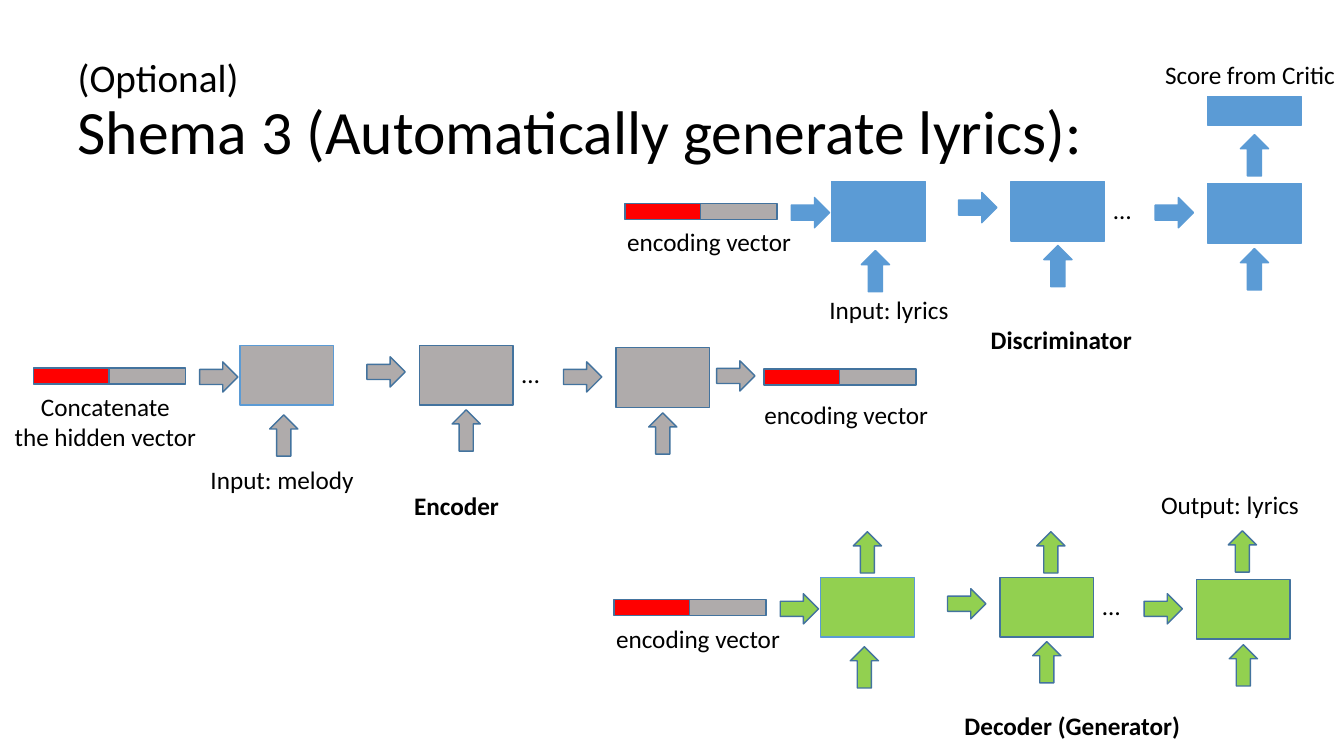
from dataclasses import dataclass

from pptx import Presentation
from pptx import util as u
from pptx.dml.color import RGBColor
from pptx.enum import shapes, text

CELL = u.Inches(0.1)
COLUMNS, ROWS = 133.33, 75


@dataclass(frozen=True)
class Theme:
    """Colours and type sizes of the slide."""
    font: str = "Calibri"
    ink: str = "000000"
    blue: str = "5B9BD5"
    outline: str = "43739E"
    red: str = "FF0000"
    grey: str = "AFABAB"
    green: str = "92D050"
    body: int = 18
    kicker: int = 28
    title: int = 44


THEME = Theme()
BLOCK = (9.3, 5.9)
ARROW_RIGHT = (3.8, 3)
ARROW_UP = (4.1, 2.8)
VECTOR_HALF = (7.6, 1.6)
BLOCKS = ((20.5, 0), (38.3, 0), (57.8, 0.2))
LINKS = ((16.5, 1.6), (33.1, 1.1), (52.6, 1.6))
INPUTS = ((22.8, 7.5), (40.9, 7), (60.4, 7.3))
OUTPUTS = ((23.1, -3.9), (41.3, -3.9), (60.3, -4))


def cells(*lengths):
    """Turn grid cells into slide lengths."""
    return [round(length * CELL) for length in lengths]


def write(para, words, size=THEME.body, bold=False):
    """Add one formatted span of text to a paragraph."""
    span = para.add_run()
    span.text = words
    span.font.name, span.font.size, span.font.bold = THEME.font, u.Pt(size), bold
    span.font.color.rgb = RGBColor.from_string(THEME.ink)


def add_label(page, words, left, top, width=38.4, centered=False, bold=False):
    """Place a text box with one paragraph per line of words."""
    lines = words.split("\n")
    box = page.shapes.add_textbox(*cells(left, top, width, 0.9 + 3.1 * len(lines)))
    frame = box.text_frame
    frame.word_wrap = True
    if not centered:
        frame.margin_right = 0
    for index, line in enumerate(lines):
        para = frame.add_paragraph() if index else frame.paragraphs[0]
        para.alignment = text.PP_ALIGN.CENTER if centered else text.PP_ALIGN.LEFT
        write(para, line, bold=bold)


def add_part(page, kind, left, top, size, fill, line=THEME.outline, rotation=0):
    """Place one filled and outlined shape."""
    part = page.shapes.add_shape(kind, *cells(left, top, *size))
    part.shadow.inherit = False
    part.rotation = rotation
    part.fill.solid()
    part.fill.fore_color.rgb = RGBColor.from_string(fill)
    part.line.color.rgb = RGBColor.from_string(line)
    part.line.width = u.Pt(1)


def add_block(page, left, top, fill, line, size=BLOCK):
    """Place a rectangular network block."""
    add_part(page, shapes.MSO_SHAPE.RECTANGLE, left, top, size, fill, line)


def add_arrow(page, left, top, fill, line, up=False):
    """Place a block arrow that points right or up."""
    add_part(page, shapes.MSO_SHAPE.RIGHT_ARROW, left, top,
             ARROW_UP if up else ARROW_RIGHT, fill, line, 270 if up else 0)


def add_vector(page, left, top):
    """Place an encoding vector as a red and a grey half."""
    for index, fill in enumerate((THEME.red, THEME.grey)):
        add_block(page, left + 7.5 * index, top, fill, THEME.outline, VECTOR_HALF)


def add_network(page, left, top, fill, line, caption):
    """Place a vector, its caption and the chain of three blocks it feeds."""
    for index, (across, down) in enumerate(BLOCKS):
        add_block(page, left + across, top + down, fill, line if index else THEME.blue)
    for across, down in LINKS:
        add_arrow(page, left + across, top + down, fill, line)
    for across, down in INPUTS:
        add_arrow(page, left + across, top + down, fill, line, up=True)
    add_vector(page, left, top + 2.2)
    add_label(page, "…", left + 47.5, top + 0.8, 16.9)
    shift = -3.6 if "\n" in caption else -2.4
    add_label(page, caption, left + shift, top + 4, 21.5, centered=True)


def add_encoder(page, left, top):
    """Place the melody encoder and the vector it gives out."""
    add_network(page, left, top, THEME.grey, THEME.outline, "Concatenate\nthe hidden vector")
    add_arrow(page, left + 67.8, top + 1.5, THEME.grey, THEME.outline)
    add_vector(page, left + 72.5, top + 2.3)
    add_label(page, "encoding vector", left + 69.9, top + 4.8, 21.5, centered=True)
    add_label(page, "Input: melody", left + 16.6, top + 11.3)
    add_label(page, "Encoder", left + 36.8, top + 13.9, bold=True)


def add_decoder(page, left, top):
    """Place the decoder and its lyrics output."""
    add_network(page, left, top, THEME.green, THEME.outline, "encoding vector")
    for across, down in OUTPUTS:
        add_arrow(page, left + across, top + down, THEME.green, THEME.outline, up=True)
    add_label(page, "Output: lyrics", left + 53.3, top - 9.2, 19)
    add_label(page, "Decoder (Generator)", left + 33.8, top + 12.7, bold=True)


def add_discriminator(page, left, top):
    """Place the discriminator and its critic score."""
    add_network(page, left, top, THEME.blue, THEME.blue, "encoding vector")
    add_arrow(page, left + 60.4, top - 4, THEME.blue, THEME.blue, up=True)
    add_block(page, left + 57.8, top - 8.4, THEME.blue, THEME.blue, (9.3, 2.8))
    add_label(page, "Score from Critic", left + 52.6, top - 12.6, 18.7)
    add_label(page, "Input: lyrics", left + 19.3, top + 10.7, 20.5)
    add_label(page, "Discriminator", left + 35.3, top + 13.7, 34, bold=True)


def add_title(page, left, top, width, height):
    """Fill the title placeholder with its two lines."""
    title = page.shapes.title
    title.left, title.top, title.width, title.height = cells(left, top, width, height)
    frame = title.text_frame
    frame.auto_size = text.MSO_AUTO_SIZE.NONE
    frame.word_wrap = True
    frame.vertical_anchor = text.MSO_ANCHOR.MIDDLE
    para = frame.paragraphs[0]
    para.alignment = text.PP_ALIGN.LEFT
    para.line_spacing = 0.9
    write(para, "(Optional)", THEME.kicker)
    para.add_line_break()
    write(para, "Shema 3 (Automatically generate lyrics):", THEME.title)


def main():
    """Build and save the deck."""
    deck = Presentation()
    deck.slide_width, deck.slide_height = cells(COLUMNS, ROWS)
    page = deck.slides.add_slide(deck.slide_layouts.get_by_name("Title Only"))
    add_title(page, 6.7, 4, 115, 14.5)
    add_encoder(page, 3.3, 34.3)
    add_decoder(page, 60.9, 57.3)
    add_discriminator(page, 62, 18)
    deck.save("out.pptx")


if __name__ == "__main__":
    main()
